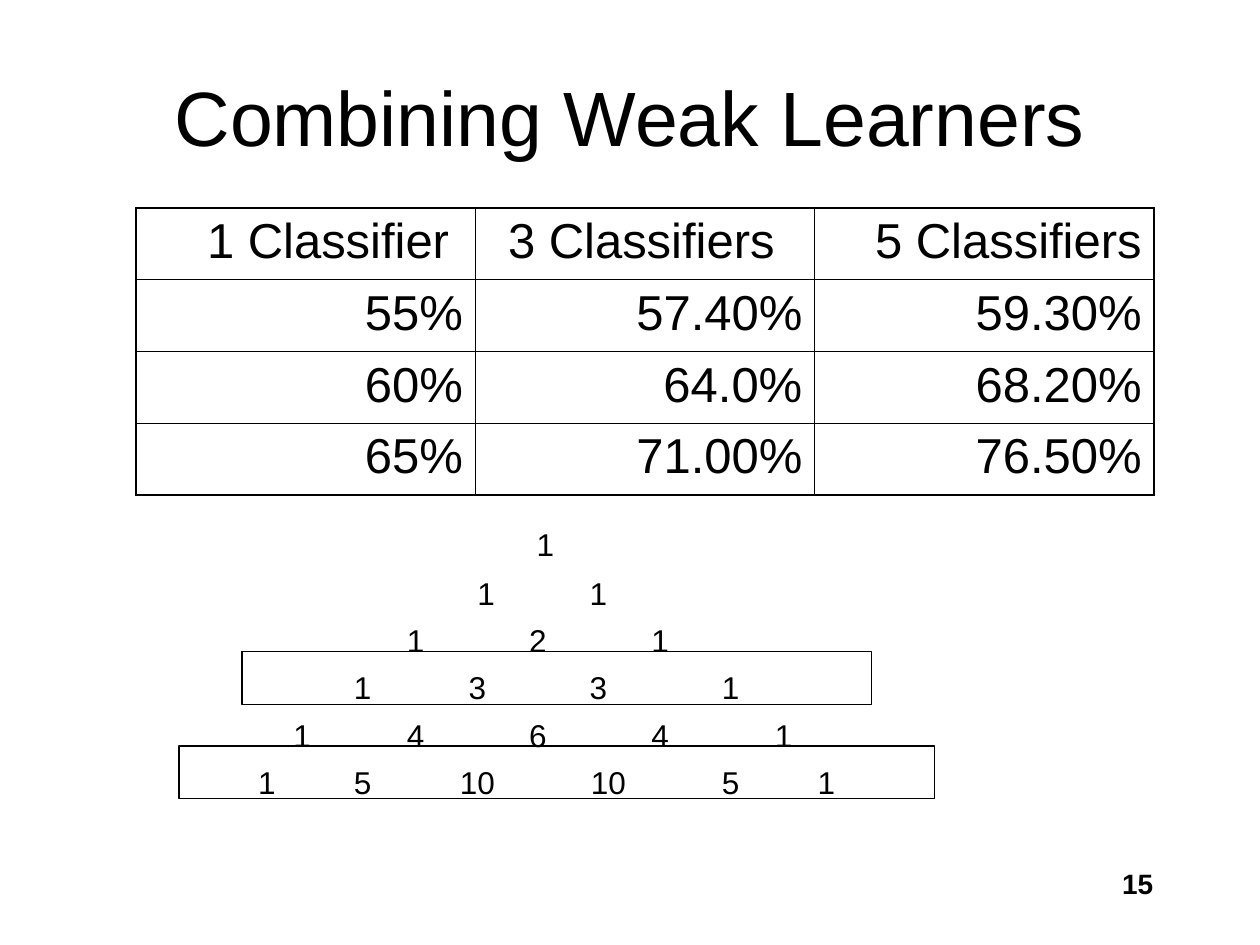
from lxml.etree import SubElement
from pptx import Presentation
from pptx.dml.color import RGBColor
from pptx.enum.shapes import MSO_SHAPE
from pptx.enum.text import MSO_ANCHOR, PP_ALIGN
from pptx.oxml.ns import qn
from pptx.util import Inches, Pt

COLORS = {"ink": "000000"}
INK = RGBColor.from_string(COLORS["ink"])


def style(font, size, bold=False):
    font.name = "Arial"
    font.size = Pt(size)
    font.bold = bold
    font.color.rgb = INK


def add_border(cell, side, width):
    line = SubElement(cell._tc.get_or_add_tcPr(), qn(f"a:ln{side}"), w=str(Pt(width)))
    fill = SubElement(line, qn("a:solidFill"))
    SubElement(fill, qn("a:srgbClr"), val=COLORS["ink"])


deck = Presentation()
deck.slide_width, deck.slide_height = Inches(10), Inches(7.5)
page = deck.slides.add_slide(deck.slide_layouts[5])

title = page.shapes.title
title.left, title.top = Inches(0.25), Inches(0.42)
title.width, title.height = Inches(9.5), Inches(1)
title.text_frame.text = "Combining Weak Learners"
title.text_frame.vertical_anchor = MSO_ANCHOR.MIDDLE
title.text_frame.paragraphs[0].alignment = PP_ALIGN.CENTER
style(title.text_frame.paragraphs[0].runs[0].font, 44)

triangle_rows = [
    [(2.48, "1")],
    [(2.01, "1"), (2.9, "1")],
    [(1.45, "1"), (2.42, "2"), (3.39, "1")],
    [(1.03, "1"), (1.94, "3"), (2.9, "3"), (3.95, "1")],
    [(0.55, "1"), (1.45, "4"), (2.42, "6"), (3.39, "4"), (4.37, "1")],
    [(0.27, "1"), (1.03, "5"), (1.94, "10"), (2.98, "10"), (3.95, "5"), (4.71, "1")],
]
triangle = page.shapes.add_textbox(Inches(1.75), Inches(4), Inches(7.17), Inches(3.17))
frame = triangle.text_frame
frame.word_wrap = True
frame.margin_top = Inches(0.08)
for index, entries in enumerate(triangle_rows):
    para = frame.add_paragraph() if index else frame.paragraphs[0]
    para.space_before = Pt(5.4 if index else 0)
    tabs = SubElement(para._p.get_or_add_pPr(), qn("a:tabLst"))
    for position, number in entries:
        SubElement(tabs, qn("a:tab"), pos=str(Inches(position)), algn="ctr")
        for text, size in (("\t", 18 if index else 24), (number, 18)):
            span = para.add_run()
            span.text = text
            style(span.font, size)

accuracy_rows = [
    ["1 Classifier", "3 Classifiers", "5 Classifiers"],
    ["55%", "57.40%", "59.30%"],
    ["60%", "64.0%", "68.20%"],
    ["65%", "71.00%", "76.50%"],
]
header_margins = [0.21, 0.32, 0.1]
row_count, column_count = len(accuracy_rows), len(accuracy_rows[0])
table = page.shapes.add_table(
    row_count, column_count, Inches(1.08), Inches(1.65), Inches(8.08), Inches(2.28)
).table
table.first_row = table.horz_banding = False
for row_index, values in enumerate(accuracy_rows):
    for column_index, value in enumerate(values):
        cell = table.cell(row_index, column_index)
        cell.text_frame.text = value
        if row_index == 0:
            cell.margin_right = Inches(header_margins[column_index])
        para = cell.text_frame.paragraphs[0]
        para.alignment = PP_ALIGN.RIGHT
        style(para.runs[0].font, 28)
        outer_sides = {
            "L": column_index == 0,
            "R": column_index == column_count - 1,
            "T": row_index == 0,
            "B": row_index == row_count - 1,
        }
        for side, is_outer in outer_sides.items():
            add_border(cell, side, 1.08 if is_outer else 0.45)
        cell.fill.background()

for left, top, width in ((1.92, 5.17, 5), (1.42, 5.92, 6)):
    frame_box = page.shapes.add_shape(
        MSO_SHAPE.RECTANGLE, Inches(left), Inches(top), Inches(width), Inches(0.42)
    )
    frame_box.shadow.inherit = False
    frame_box.fill.background()
    frame_box.line.color.rgb = INK
    frame_box.line.width = Pt(0.75)

number_box = page.shapes.add_textbox(Inches(7.17), Inches(6.83), Inches(2.08), Inches(0.5))
number_box.text_frame.word_wrap = True
number_box.text_frame.text = "15"
para = number_box.text_frame.paragraphs[0]
para.alignment = PP_ALIGN.RIGHT
style(para.runs[0].font, 16, bold=True)

deck.save("out.pptx")
